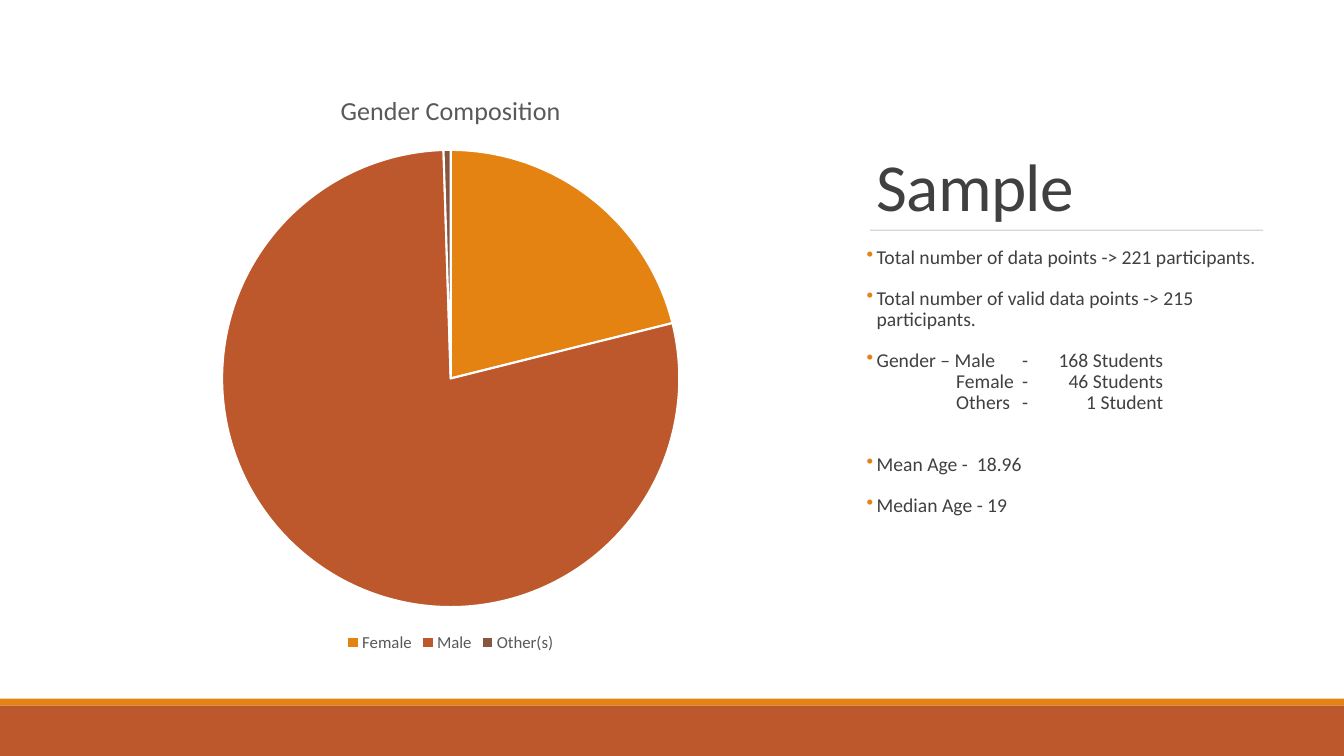
"""Build the slide on the sample's gender composition."""
from dataclasses import dataclass

from lxml.etree import SubElement
from pptx import Presentation
from pptx.chart.data import CategoryChartData
from pptx.dml.color import RGBColor
from pptx.enum.chart import XL_CHART_TYPE as ChartType, XL_LEGEND_POSITION as LegendPosition
from pptx.enum.shapes import MSO_CONNECTOR as Connector, MSO_SHAPE as Preset
from pptx.enum.text import MSO_ANCHOR as Anchor
from pptx.oxml.ns import qn
from pptx.slide import Slide
from pptx.text.text import Font
from pptx.util import Pt

TYPEFACE = "Calibri"
ORANGE, RUST, BROWN = "E48312", "BD582C", "865640"
TEXT_DARK, CHART_GREY, RULE_GREY, WHITE = "404040", "595959", "808080", "FFFFFF"
WIDTH, HEIGHT = 960, 540
TEXT_LEFT, TEXT_WIDTH = 619, 291
RULE_TOP = 164.4
HANGING = 7.2


@dataclass(frozen=True)
class Band:
    top: float
    height: float
    color: str


@dataclass(frozen=True)
class TabStop:
    position: float
    align: str = "l"


@dataclass(frozen=True)
class Fact:
    text: str
    space_before: float = 12
    tabs: tuple[TabStop, ...] = ()


@dataclass(frozen=True)
class Share:
    gender: str
    percent: float
    color: str


BANDS = [Band(499, 5, ORANGE), Band(504, 36, RUST)]
SHARES = [Share("Female", 21, ORANGE), Share("Male", 78, RUST), Share("Other(s)", 0.5, BROWN)]
GENDER_TABS = (TabStop(64), TabStop(111.2), TabStop(212, "r"))
FACTS = [
    Fact("Total number of data points -> 221 participants.", 0),
    Fact("Total number of valid data points -> 215 participants."),
    Fact("Gender – Male\t-\t168 Students\v\tFemale\t-\t46 Students\v\tOthers\t-\t1 Student", tabs=GENDER_TABS),
    Fact("Mean Age -\t18.96", 27, (TabStop(78.8),)),
    Fact("Median Age - 19"),
]


def rgb(color: str) -> RGBColor:
    """Turn a hex string into a colour."""
    return RGBColor.from_string(color)


def style_font(font: Font, size: float, color: str) -> None:
    """Apply the slide's typeface with a size and colour."""
    font.name, font.size, font.bold = TYPEFACE, Pt(size), False
    font.color.rgb = rgb(color)


def draw_band(slide: Slide, band: Band) -> None:
    """Draw one full-width footer band."""
    strip = slide.shapes.add_shape(Preset.RECTANGLE, 0, Pt(band.top), Pt(WIDTH), Pt(band.height))
    strip.shadow.inherit = False
    strip.fill.solid()
    strip.fill.fore_color.rgb = rgb(band.color)
    strip.line.fill.background()


def draw_heading(slide: Slide) -> None:
    """Draw the heading and the rule beneath it."""
    heading = slide.shapes.add_textbox(Pt(TEXT_LEFT), Pt(49.7), Pt(TEXT_WIDTH), Pt(114.5)).text_frame
    heading.word_wrap = True
    heading.vertical_anchor = Anchor.BOTTOM
    heading.text = "Sample"
    line = heading.paragraphs[0]
    line.line_spacing = 0.85
    for run in line.runs:
        style_font(run.font, 48, TEXT_DARK)
        run._r.get_or_add_rPr().set("spc", "-50")
    rule = slide.shapes.add_connector(
        Connector.STRAIGHT, Pt(621.4), Pt(RULE_TOP), Pt(902.2), Pt(RULE_TOP)
    )
    rule.line.width = Pt(0.5)
    rule.line.color.rgb = rgb(RULE_GREY)
    rule_properties = rule._element.spPr
    SubElement(next(rule_properties.iter(qn("a:srgbClr"))), qn("a:alpha"), val="90000")
    SubElement(rule_properties, qn("a:effectLst"))


def draw_facts(slide: Slide) -> None:
    """Draw the bulleted facts about the sample."""
    body = slide.shapes.add_textbox(Pt(TEXT_LEFT), Pt(173.2), Pt(TEXT_WIDTH), Pt(288.7)).text_frame
    body.word_wrap = True
    body.margin_left = body.margin_right = 0
    for index, fact in enumerate(FACTS):
        paragraph = body.add_paragraph() if index else body.paragraphs[0]
        paragraph.text = fact.text
        paragraph.line_spacing = 0.9
        paragraph.space_before, paragraph.space_after = Pt(fact.space_before), Pt(2)
        properties = paragraph._p.get_or_add_pPr()
        properties.set("marL", str(Pt(HANGING)))
        properties.set("indent", str(-Pt(HANGING)))
        bullet_color = SubElement(properties, qn("a:buClr"))
        SubElement(bullet_color, qn("a:srgbClr"), val=ORANGE)
        SubElement(properties, qn("a:buChar"), char="•")
        if fact.tabs:
            tabs = SubElement(properties, qn("a:tabLst"))
            for stop in fact.tabs:
                SubElement(tabs, qn("a:tab"), pos=str(Pt(stop.position)), algn=stop.align)
        style_font(paragraph.font, 14, TEXT_DARK)
        for run in paragraph.runs:
            style_font(run.font, 14, TEXT_DARK)


def draw_gender_pie(slide: Slide) -> None:
    """Draw the pie of gender shares."""
    composition = CategoryChartData()
    composition.categories = [share.gender for share in SHARES]
    composition.add_series("Gender Composition", [share.percent for share in SHARES])
    pie = slide.shapes.add_chart(
        ChartType.PIE, Pt(49.8), Pt(50.5), Pt(544.3), Pt(418.3), composition
    ).chart
    style_font(pie.font, 10, "000000")
    pie.has_title = True
    caption = pie.chart_title.text_frame
    caption.text = "Gender Composition"
    style_font(caption.paragraphs[0].runs[0].font, 18.6, CHART_GREY)
    pie.has_legend = True
    pie.legend.position = LegendPosition.BOTTOM
    pie.legend.include_in_layout = False
    style_font(pie.legend.font, 12, CHART_GREY)
    plot = pie.plots[0]
    plot.vary_by_categories = True
    for index, share in enumerate(SHARES):
        slice_format = plot.series[0].points[index].format
        slice_format.fill.solid()
        slice_format.fill.fore_color.rgb = rgb(share.color)
        slice_format.line.color.rgb = rgb(WHITE)
        slice_format.line.width = Pt(1.5)


def main() -> None:
    """Assemble and save the slide."""
    deck = Presentation()
    deck.slide_width, deck.slide_height = Pt(WIDTH), Pt(HEIGHT)
    slide = deck.slides.add_slide(deck.slide_layouts[6])
    draw_heading(slide)
    draw_facts(slide)
    for band in BANDS:
        draw_band(slide, band)
    draw_gender_pie(slide)
    deck.save("out.pptx")


if __name__ == "__main__":
    main()
